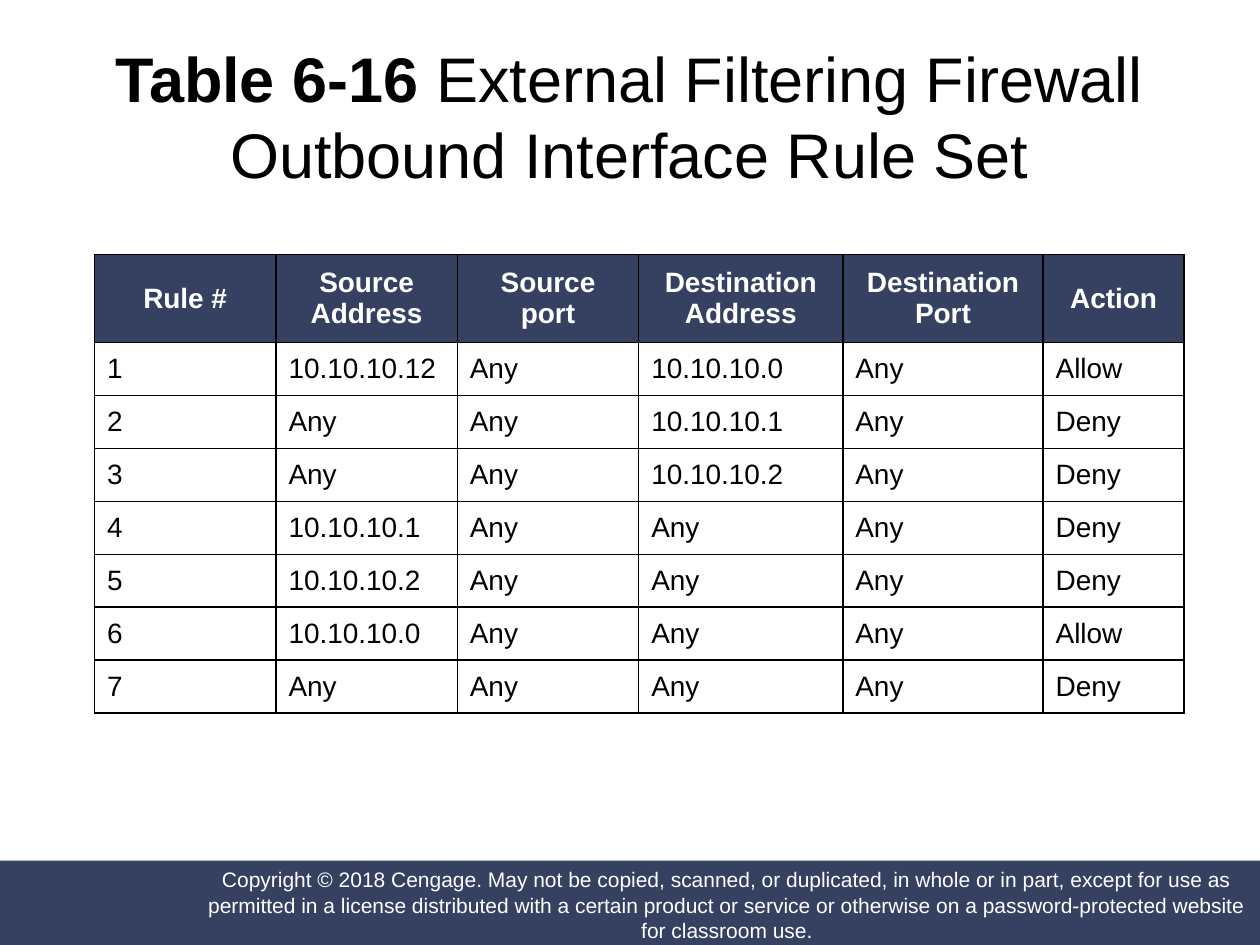
"""Build the firewall outbound rule set slide."""
from lxml.etree import SubElement
from pptx import Presentation
from pptx.dml.color import RGBColor
from pptx.enum.shapes import MSO_SHAPE
from pptx.enum.text import MSO_ANCHOR, MSO_AUTO_SIZE, PP_ALIGN
from pptx.oxml.ns import qn
from pptx.util import Inches, Pt

NAVY = RGBColor(0x36, 0x41, 0x62)
WHITE = RGBColor(0xFF, 0xFF, 0xFF)
BLACK = RGBColor(0x00, 0x00, 0x00)

COPYRIGHT = (
    "Copyright © 2018 Cengage. May not be copied, scanned, or duplicated, in whole or in part, "
    "except for use as permitted in a license distributed with a certain product or service or "
    "otherwise on a password-protected website for classroom use."
)
HEADINGS = ["Rule #", "Source Address", "Source port", "Destination Address", "Destination Port", "Action"]
RULES = [
    ["1", "10.10.10.12", "Any", "10.10.10.0", "Any", "Allow"],
    ["2", "Any", "Any", "10.10.10.1", "Any", "Deny"],
    ["3", "Any", "Any", "10.10.10.2", "Any", "Deny"],
    ["4", "10.10.10.1", "Any", "Any", "Any", "Deny"],
    ["5", "10.10.10.2", "Any", "Any", "Any", "Deny"],
    ["6", "10.10.10.0", "Any", "Any", "Any", "Allow"],
    ["7", "Any", "Any", "Any", "Any", "Deny"],
]
COLUMN_WIDTHS = [1.44, 1.44, 1.44, 1.62, 1.59, 1.12]
HEADER_HEIGHT = 0.7
RULE_HEIGHT = 0.42


class SlideBuilder:
    def __init__(self, presentation, font_name="Arial"):
        self.font_name = font_name
        self.slide = presentation.slides.add_slide(presentation.slide_layouts[5])
        background = self.slide.background.fill
        background.solid()
        background.fore_color.rgb = WHITE

    def add_run(self, paragraph, text, size, color, bold=False):
        run = paragraph.add_run()
        run.text = text
        run.font.name = self.font_name
        run.font.size = Pt(size)
        run.font.bold = bold
        run.font.color.rgb = color

    def add_title(self, left, top, width, height, runs):
        title = self.slide.shapes.title
        title.left, title.top = Inches(left), Inches(top)
        title.width, title.height = Inches(width), Inches(height)
        frame = title.text_frame
        frame.auto_size = MSO_AUTO_SIZE.NONE
        frame.word_wrap = True
        frame.vertical_anchor = MSO_ANCHOR.MIDDLE
        paragraph = frame.paragraphs[0]
        paragraph.alignment = PP_ALIGN.CENTER
        for text, bold in runs:
            self.add_run(paragraph, text, 36, BLACK, bold)

    def add_band(self, left, top, width, height, text=None):
        shape = self.slide.shapes.add_shape(
            MSO_SHAPE.RECTANGLE, Inches(left), Inches(top), Inches(width), Inches(height)
        )
        shape.shadow.inherit = False
        shape.fill.solid()
        shape.fill.fore_color.rgb = NAVY
        shape.line.fill.background()
        if text:
            frame = shape.text_frame
            frame.word_wrap = True
            frame.vertical_anchor = MSO_ANCHOR.MIDDLE
            frame.margin_left = frame.margin_right = frame.margin_top = frame.margin_bottom = 0
            paragraph = frame.paragraphs[0]
            paragraph.alignment = PP_ALIGN.CENTER
            self.add_run(paragraph, text, 12, WHITE)

    def add_borders(self, cell):
        properties = cell._tc.get_or_add_tcPr()
        for side in ("a:lnL", "a:lnR", "a:lnT", "a:lnB"):
            line = SubElement(properties, qn(side), w=str(Pt(1)))
            fill = SubElement(line, qn("a:solidFill"))
            SubElement(fill, qn("a:srgbClr"), val=str(BLACK))

    def format_cell(self, cell, text, is_header):
        self.add_borders(cell)
        if is_header:
            cell.fill.solid()
            cell.fill.fore_color.rgb = NAVY
        else:
            cell.fill.background()
        cell.vertical_anchor = MSO_ANCHOR.MIDDLE
        paragraph = cell.text_frame.paragraphs[0]
        paragraph.alignment = PP_ALIGN.CENTER if is_header else PP_ALIGN.LEFT
        self.add_run(paragraph, text, 16, WHITE if is_header else BLACK, is_header)

    def add_table(self, left, top, headings, rules):
        rows = [headings] + rules
        heights = [HEADER_HEIGHT] + [RULE_HEIGHT] * len(rules)
        table = self.slide.shapes.add_table(
            len(rows), len(headings), Inches(left), Inches(top),
            Inches(sum(COLUMN_WIDTHS)), Inches(sum(heights)),
        ).table
        table.horz_banding = False
        for column, width in zip(table.columns, COLUMN_WIDTHS):
            column.width = Inches(width)
        for row_index, (row, height, texts) in enumerate(zip(table.rows, heights, rows)):
            row.height = Inches(height)
            for cell, text in zip(row.cells, texts):
                self.format_cell(cell, text, row_index == 0)


def main():
    presentation = Presentation()
    presentation.slide_width = Inches(10)
    presentation.slide_height = Inches(7.5)
    builder = SlideBuilder(presentation)
    builder.add_band(0, 6.83, 10, 0.67)
    builder.add_band(1.62, 6.86, 8.3, 0.64, COPYRIGHT)
    builder.add_title(0.45, 0.25, 9.09, 1.33, [
        ("Table 6-16 ", True),
        ("External Filtering Firewall Outbound Interface Rule Set", False),
    ])
    builder.add_table(0.75, 2.02, HEADINGS, RULES)
    presentation.save("out.pptx")


if __name__ == "__main__":
    main()
